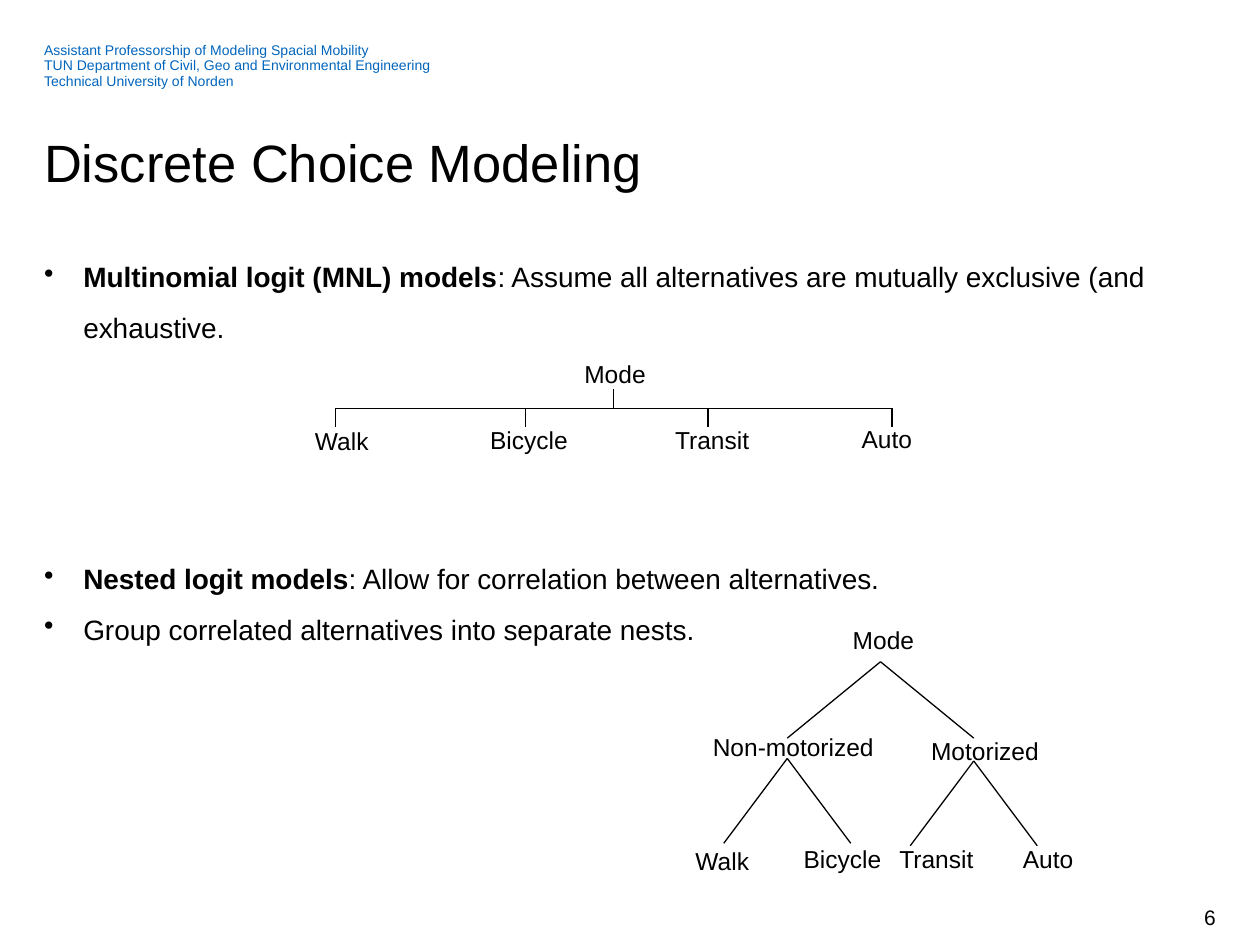
from lxml import etree
from pptx import Presentation
from pptx.dml.color import RGBColor
from pptx.enum.shapes import MSO_CONNECTOR
from pptx.enum.text import MSO_ANCHOR, PP_ALIGN
from pptx.oxml.ns import qn
from pptx.util import Cm, Pt

STRAIGHT = MSO_CONNECTOR.STRAIGHT
MIDDLE = MSO_ANCHOR.MIDDLE
RIGHT = PP_ALIGN.RIGHT
FONT = "Arial"
BLACK, BLUE = "000000", "0065BD"
LABEL_INSETS = (0.25, 0.13)


def rgb(value):
    return RGBColor.from_string(value)


def style(paragraph, size, color=BLACK, spacing=None):
    font = paragraph.font
    font.name, font.size, font.color.rgb = FONT, Pt(size), rgb(color)
    if spacing:
        paragraph.line_spacing = spacing


def add_frame(slide, left, top, width, height, insets=(0, 0)):
    frame = slide.shapes.add_textbox(Cm(left), Cm(top), Cm(width), Cm(height)).text_frame
    frame.word_wrap = True
    frame.margin_left = frame.margin_right = Cm(insets[0])
    frame.margin_top = frame.margin_bottom = Cm(insets[1])
    return frame


def add_lines(slide, box, lines, size, color=BLACK, spacing=None, insets=(0, 0)):
    frame = add_frame(slide, *box, insets)
    for index, line in enumerate(lines):
        paragraph = frame.add_paragraph() if index else frame.paragraphs[0]
        paragraph.text = line
        style(paragraph, size, color, spacing)
    return frame


def add_label(slide, text, left, top, width):
    add_lines(slide, (left, top, width, 0.55), [text], 14, insets=LABEL_INSETS)


def add_branch(slide, x1, y1, x2, y2):
    branch = slide.shapes.add_connector(STRAIGHT, Cm(x1), Cm(y1), Cm(x2), Cm(y2))
    branch.line.color.rgb = rgb(BLACK)
    branch.line.width = Pt(0.75)
    etree.SubElement(branch.element.spPr, qn("a:effectLst"))


def add_bullets(slide, box, items):
    frame = add_frame(slide, *box)
    for index, (term, text, gap) in enumerate(items):
        paragraph = frame.add_paragraph() if index else frame.paragraphs[0]
        style(paragraph, 16, spacing=1.5)
        paragraph.space_before = Pt(gap)
        if term:
            run = paragraph.add_run()
            run.text = term
            run.font.bold = True
        paragraph.add_run().text = text
        properties = paragraph._p.get_or_add_pPr()
        properties.set("marL", str(Cm(0.79)))
        properties.set("indent", str(-Cm(0.79)))
        bullet = etree.Element(qn("a:buChar"), char="•")
        properties.insert_element_before(bullet, "a:tabLst", "a:defRPr", "a:extLst")


# Flat tree: one bar with a tick for each alternative
def add_flat_tree(slide, left, top):
    bar, tick = top + 1.12, 0.38
    alternatives = [
        ("Walk", 0.66, 0, 1.35),
        ("Bicycle", 4.49, 3.53, 1.32),
        ("Transit", 8.17, 7.26, 1.32),
        ("Auto", 11.88, 11.02, 1.30),
    ]
    add_label(slide, "Mode", left + 5.43, top, 2.44)
    add_branch(slide, left + 6.27, bar - tick, left + 6.27, bar)
    add_branch(slide, left + alternatives[0][1], bar, left + alternatives[-1][1], bar)
    for name, x, label_x, label_y in alternatives:
        add_branch(slide, left + x, bar, left + x, bar + tick)
        add_label(slide, name, left + label_x, top + label_y, 2.21)


# Nested tree: two nests of two alternatives
def add_nested_tree(slide, left, top):
    root_x, root_y = left + 3.98, top + 0.87
    nests = [
        ("Non-motorized", -1, 0.35, 2.16, 4.88, 2.82,
         [("Walk", 0, 4.45), ("Bicycle", 2.18, 4.42)]),
        ("Motorized", 1, 4.75, 2.24, 3.02, 2.87,
         [("Transit", 4.11, 4.42), ("Auto", 6.60, 4.42)]),
    ]
    add_label(slide, "Mode", left + 3.17, top, 2.44)
    for name, side, label_x, label_y, width, fork, alternatives in nests:
        nest_x, fork_y = root_x + side * 1.88, top + fork
        add_branch(slide, root_x, root_y, nest_x, top + 2.41)
        add_label(slide, name, left + label_x, top + label_y, width)
        for direction, (leaf, leaf_x, leaf_y) in zip((-1, 1), alternatives):
            add_branch(slide, nest_x, fork_y, nest_x + direction * 1.28, fork_y + 1.71)
            add_label(slide, leaf, left + leaf_x, top + leaf_y, 2.21)


def add_page_number(slide, box, number):
    frame = add_lines(slide, box, [number], 12, insets=(0, 0.13))
    frame.vertical_anchor = MIDDLE
    frame.paragraphs[0].alignment = RIGHT


prs = Presentation()
prs.slide_width, prs.slide_height = Cm(25.4), Cm(19.05)
slide = prs.slides.add_slide(prs.slide_layouts[6])

# Header and title
add_lines(slide, (0.89, 0.86, 21.39, 0.97), [
    "Assistant Professorship of Modeling Spacial Mobility",
    "TUN Department of Civil, Geo and Environmental Engineering",
    "Technical University of Norden",
], 8, BLUE, 0.94)
add_lines(slide, (0.89, 2.77, 23.65, 1.14), ["Discrete Choice Modeling"], 30, spacing=Pt(32))

# Body: the gap before the second item leaves room for the flat tree
add_bullets(slide, (0.89, 4.9, 23.65, 13.06), [
    ("Multinomial logit (MNL) models",
     ": Assume all alternatives are mutually exclusive (and exhaustive.", 0),
    ("Nested logit models", ": Allow for correlation between alternatives.", 115),
    ("", "Group correlated alternatives into separate nests.", 0),
])
add_flat_tree(slide, 6.1, 7.11)
add_nested_tree(slide, 13.77, 12.47)

add_page_number(slide, (18.82, 17.98, 5.69, 1.02), "6")

prs.save("out.pptx")
